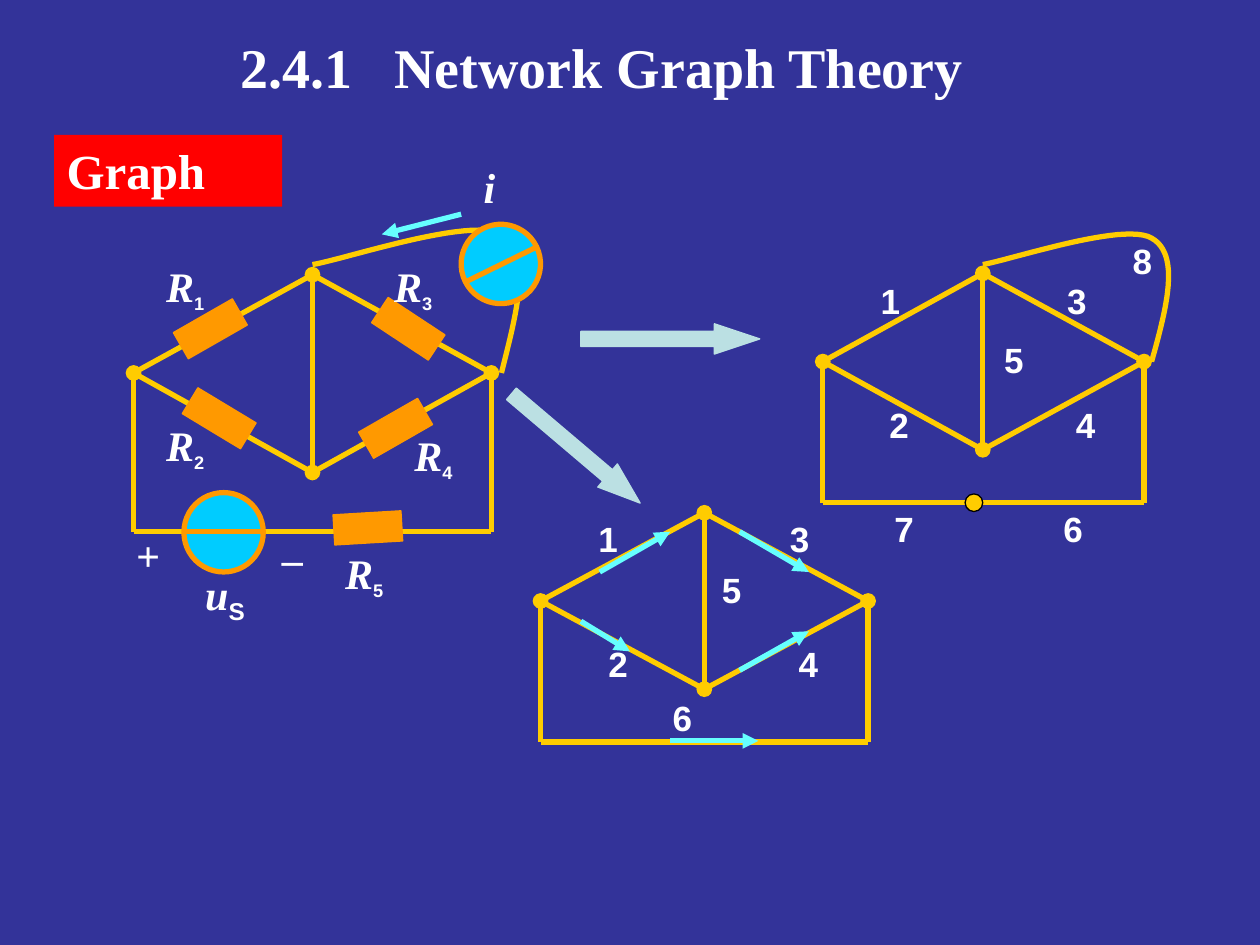
from typing import NamedTuple

from lxml import etree
from pptx import Presentation
from pptx.dml.color import RGBColor
from pptx.enum.shapes import MSO_CONNECTOR, MSO_SHAPE as SHAPE
from pptx.enum.text import MSO_ANCHOR
from pptx.oxml.ns import qn
from pptx.util import Inches, Pt

NAVY = RGBColor(0x33, 0x33, 0x99)
WHITE = RGBColor(0xFF, 0xFF, 0xFF)
BLACK = RGBColor(0x00, 0x00, 0x00)
RED = RGBColor(0xFF, 0x00, 0x00)
GOLD = RGBColor(0xFF, 0xCC, 0x00)
ORANGE = RGBColor(0xFF, 0x99, 0x00)
BLUE = RGBColor(0x00, 0xCC, 0xFF)
CYAN = RGBColor(0x66, 0xFF, 0xFF)
PALE = RGBColor(0xBB, 0xE0, 0xE3)
SERIF, SANS = "Times New Roman", "Arial"

Point = tuple[float, float]


class Graph(NamedTuple):
    """A diamond of four nodes over a rectangular loop."""
    left: float
    mid: float
    right: float
    top: float
    centre: float
    bottom: float
    base: float


class Label(NamedTuple):
    text: str
    x: float
    y: float
    sub: str = ""
    sub_size: int = 18


class Resistor(NamedTuple):
    x: float
    y: float
    angle: float


def add_line(sp, start: Point, end: Point, color=GOLD, head="", tail=""):
    c = sp.add_connector(MSO_CONNECTOR.STRAIGHT, *map(Inches, start + end))
    c.line.color.rgb = color
    c.line.width = Pt(3)
    ln = c.line._get_or_add_ln()
    for tag, kind in (("a:headEnd", head), ("a:tailEnd", tail)):
        if kind:
            etree.SubElement(ln, qn(tag), type=kind)
    etree.SubElement(c._element.spPr, qn("a:effectLst"))


def add_shape(sp, kind, box, fill, line=None, width=0.75, angle=0.0):
    shape = sp.add_shape(kind, *map(Inches, box))
    shape.shadow.inherit = False
    shape.rotation = angle
    shape.fill.solid()
    shape.fill.fore_color.rgb = fill
    if line is None:
        shape.line.fill.background()
    else:
        shape.line.color.rgb = line
        shape.line.width = Pt(width)
    return shape


def format_run(r, size, font, italic=False):
    r.font.size, r.font.name = Pt(size), font
    r.font.bold, r.font.italic = True, italic
    r.font.color.rgb = WHITE


def add_text(sp, box, text, size, font, italic=False):
    tf = sp.add_textbox(*map(Inches, box)).text_frame
    tf.word_wrap = True
    tf.vertical_anchor = MSO_ANCHOR.TOP
    tf.text = text
    format_run(tf.paragraphs[0].runs[0], size, font, italic)
    return tf.paragraphs[0]


def add_symbol(sp, label: Label, width=0.55):
    p = add_text(sp, (label.x, label.y, width, 0.5), label.text, 24, SERIF, True)
    if label.sub:
        r = p.add_run()
        r.text = label.sub
        format_run(r, label.sub_size, SANS)
        r.font._element.set("baseline", "-25000")


def add_number(sp, label: Label):
    add_text(sp, (label.x, label.y, 0.28, 0.43), label.text, 20, SANS)


def add_graph(sp, g: Graph):
    west, east = (g.left, g.centre), (g.right, g.centre)
    north, south = (g.mid, g.top), (g.mid, g.bottom)
    low_left, low_right = (g.left, g.base), (g.right, g.base)
    for start, end in ((west, north), (south, east), (west, south), (north, east)):
        add_line(sp, start, end)
    add_line(sp, north, south, head="oval", tail="oval")
    add_line(sp, west, low_left, head="oval")
    add_line(sp, low_left, low_right)
    add_line(sp, east, low_right, head="oval")


def bezier(p0: Point, p1: Point, p2: Point, p3: Point, steps=24) -> list[Point]:
    def at(t, a, b, c, d):
        u = 1 - t
        return u**3 * a + 3 * u * u * t * b + 3 * u * t * t * c + t**3 * d
    return [tuple(at(n / steps, *axis) for axis in zip(p0, p1, p2, p3))
            for n in range(steps + 1)]


def add_branch(sp, start: Point, c1: Point, c2: Point, top: Point,
               c3: Point, c4: Point, end: Point):
    points = bezier(start, c1, c2, top) + bezier(top, c3, c4, end)[1:]
    emu = [(Inches(x), Inches(y)) for x, y in points]
    builder = sp.build_freeform(*emu[0])
    builder.add_line_segments(emu[1:], close=False)
    curve = builder.convert_to_shape()
    curve.shadow.inherit = False
    curve.fill.background()
    curve.line.color.rgb = GOLD
    curve.line.width = Pt(3)


def add_block_arrow(sp, box, ratio, angle=0.0):
    arrow = add_shape(sp, SHAPE.RIGHT_ARROW, box, PALE, PALE, angle=angle)
    arrow.adjustments[0], arrow.adjustments[1] = 0.5, ratio


def add_circuit(sp):
    add_graph(sp, Graph(1.06, 2.48, 3.9, 2.18, 2.96, 3.75, 4.22))
    for res in (Resistor(1.4, 2.49, 330.2), Resistor(1.47, 3.2, 31.1),
                Resistor(2.97, 2.49, 33.4), Resistor(2.87, 3.28, 330.2),
                Resistor(2.65, 4.07, 356.6)):
        add_shape(sp, SHAPE.RECTANGLE, (res.x, res.y, 0.54, 0.24),
                  ORANGE, ORANGE, angle=res.angle)
    # Voltage source, then current source on its curved branch
    add_shape(sp, SHAPE.OVAL, (1.46, 3.91, 0.63, 0.63), BLUE, ORANGE, 3)
    add_line(sp, (1.46, 4.22), (2.09, 4.22), ORANGE)
    add_branch(sp, (3.98, 2.96), (4.1, 2.48), (4.23, 2.01), (3.98, 1.86),
               (3.73, 1.72), (2.73, 2.06), (2.48, 2.1))
    add_shape(sp, SHAPE.OVAL, (3.66, 1.78, 0.63, 0.63), BLUE, ORANGE, 3, 334)
    add_line(sp, (3.69, 2.24), (4.26, 1.96), ORANGE)
    for label in (Label("R", 3.19, 3.36, "4"), Label("R", 1.22, 2.02, "1"),
                  Label("R", 3.03, 2.02, "3"), Label("R", 1.22, 3.28, "2"),
                  Label("R", 2.64, 4.3, "5"), Label("u", 1.53, 4.46, "S", 24),
                  Label("+", 0.98, 4.15), Label("_", 2.16, 4.07)):
        add_symbol(sp, label)
    add_line(sp, (3.66, 1.7), (3.03, 1.86), CYAN, tail="triangle")
    add_symbol(sp, Label("i", 3.74, 1.23), 0.31)


def add_full_graph(sp):
    add_graph(sp, Graph(6.53, 7.8, 9.08, 2.17, 2.87, 3.57, 3.99))
    add_branch(sp, (9.14, 2.87), (9.26, 2.44), (9.37, 2.02), (9.14, 1.89),
               (8.92, 1.76), (8.03, 2.06), (7.8, 2.1))
    add_shape(sp, SHAPE.OVAL, (7.66, 3.92, 0.14, 0.14), GOLD, BLACK)
    for label in (Label("6", 8.34, 3.98), Label("5", 7.87, 2.64),
                  Label("4", 8.44, 3.15), Label("3", 8.37, 2.17),
                  Label("2", 6.96, 3.15), Label("1", 6.89, 2.17),
                  Label("7", 7.0, 3.98), Label("8", 8.89, 1.85)):
        add_number(sp, label)


def add_directed_graph(sp):
    add_graph(sp, Graph(4.29, 5.59, 6.89, 4.07, 4.77, 5.47, 5.89))
    for label in (Label("5", 5.63, 4.46), Label("4", 6.24, 5.05),
                  Label("3", 6.17, 4.06), Label("2", 4.73, 5.05),
                  Label("1", 4.65, 4.06), Label("6", 5.24, 5.48)):
        add_number(sp, label)
    for start, end in (((4.76, 4.54), (5.32, 4.22)), ((5.87, 5.32), (6.42, 5.01)),
                       ((4.61, 4.93), (5.0, 5.17)), ((5.87, 4.22), (6.42, 4.54)),
                       ((5.32, 5.88), (6.02, 5.88))):
        add_line(sp, start, end, CYAN, tail="triangle")


def main():
    prs = Presentation()
    prs.slide_width, prs.slide_height = Inches(10), Inches(7.5)
    s = prs.slides.add_slide(prs.slide_layouts[6])
    s.background.fill.solid()
    s.background.fill.fore_color.rgb = NAVY
    sp = s.shapes

    # Title and red heading
    add_text(sp, (1.81, 0.21, 6.11, 0.64), "2.4.1   Network Graph Theory", 32, SERIF)
    heading = (0.43, 1.07, 1.81, 0.57)
    add_shape(sp, SHAPE.RECTANGLE, heading, RED)
    add_text(sp, heading, "Graph", 28, SERIF)

    # Circuit and the two graphs derived from it
    add_circuit(sp)
    add_block_arrow(sp, (4.61, 2.57, 1.42, 0.24), 1.5)
    add_full_graph(sp)
    add_block_arrow(sp, (3.9, 3.44, 1.34, 0.24), 1.41, 40.3)
    add_directed_graph(sp)
    prs.save("out.pptx")


if __name__ == "__main__":
    main()
